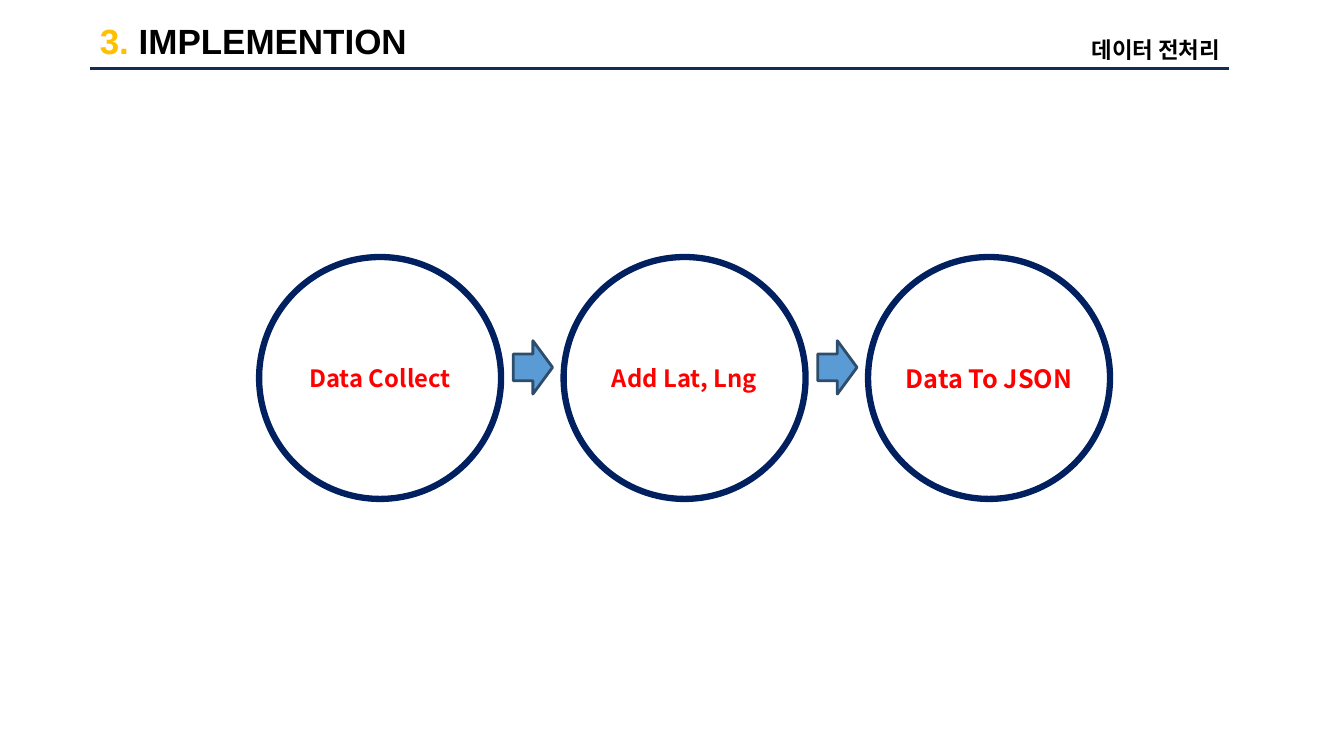
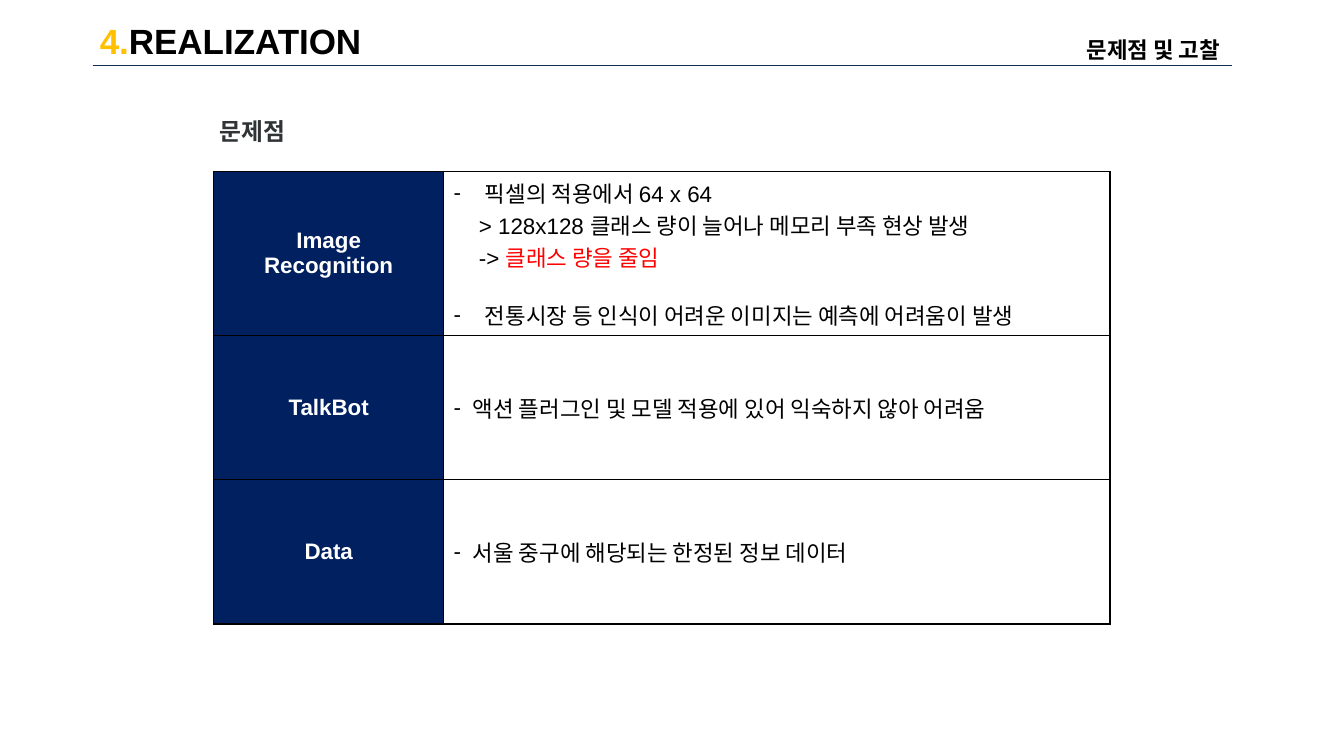
from lxml.etree import SubElement
from pptx import Presentation
from pptx.dml.color import RGBColor
from pptx.enum.shapes import MSO_CONNECTOR, MSO_SHAPE
from pptx.enum.text import MSO_ANCHOR, MSO_AUTO_SIZE, PP_ALIGN
from pptx.oxml.ns import qn
from pptx.util import Pt

EMU_PER_PX = 9144
LATIN_FONT = "Arial"
KOREAN_FONT = "Noto Sans CJK KR"
WHITE = RGBColor(0xFF, 0xFF, 0xFF)
BLACK = RGBColor(0x00, 0x00, 0x00)
GOLD = RGBColor(0xFF, 0xC0, 0x00)
RED = RGBColor(0xFF, 0x00, 0x00)
NAVY = RGBColor(0x00, 0x20, 0x60)
RULE_BLUE = RGBColor(0x14, 0x2D, 0x52)
ARROW_BLUE = RGBColor(0x5B, 0x9B, 0xD5)
ARROW_EDGE = RGBColor(0x2D, 0x4D, 0x6A)
CHARCOAL = RGBColor(0x2F, 0x34, 0x36)


def px(length):
    return int(length * EMU_PER_PX)


def box(left, top, width, height):
    return px(left), px(top), px(width), px(height)


def write_text(paragraph, text, size=16, color=BLACK, bold=False,
               font=LATIN_FONT, align=PP_ALIGN.LEFT):
    paragraph.alignment = align
    run = paragraph.add_run()
    run.text = text
    run.font.size = Pt(size)
    run.font.bold = bold
    run.font.color.rgb = color
    run.font.name = font
    east_asian = SubElement(run.font._element, qn("a:ea"))
    east_asian.set("typeface", KOREAN_FONT)


def indent_paragraph(paragraph, margin, bullet=False):
    properties = paragraph._p.get_or_add_pPr()
    properties.set("marL", str(px(margin)))
    properties.set("indent", str(px(-margin if bullet else 0)))
    if bullet:
        color = SubElement(SubElement(properties, qn("a:buClr")), qn("a:srgbClr"))
        color.set("val", str(BLACK))
        SubElement(properties, qn("a:buFont")).set("typeface", LATIN_FONT)
        SubElement(properties, qn("a:buChar")).set("char", "-")


def add_label(slide, left, top, width, height, text, line_spacing=1, **text_format):
    label = slide.shapes.add_textbox(*box(left, top, width, height))
    label.text_frame.word_wrap = True
    paragraph = label.text_frame.paragraphs[0]
    paragraph.line_spacing = line_spacing
    write_text(paragraph, text, bold=True, font=KOREAN_FONT, **text_format)


def add_shape(slide, kind, bounds, fill, line, line_width):
    shape = slide.shapes.add_shape(kind, *box(*bounds))
    shape.shadow.inherit = False
    shape.fill.solid()
    shape.fill.fore_color.rgb = fill
    shape.line.color.rgb = line
    shape.line.width = Pt(line_width)
    return shape


def add_header(slide, number, title, topic, rule_left, rule_top, rule_width):
    placeholder = slide.shapes.title
    placeholder.left, placeholder.top, placeholder.width, placeholder.height = box(89, 14, 400, 76)
    frame = placeholder.text_frame
    frame.vertical_anchor = MSO_ANCHOR.TOP
    frame.auto_size = MSO_AUTO_SIZE.NONE
    for text, color in ((number, GOLD), (title, BLACK)):
        write_text(frame.paragraphs[0], text, size=25, color=color, bold=True)
    add_label(slide, 966, 18, 254, 49, topic, line_spacing=1.5, align=PP_ALIGN.RIGHT)
    rule = slide.shapes.add_connector(
        MSO_CONNECTOR.STRAIGHT, px(rule_left), px(rule_top), px(rule_left + 1130), px(rule_top))
    rule.line.color.rgb = RULE_BLUE
    rule.line.width = Pt(rule_width)
    SubElement(rule._element.spPr, qn("a:effectLst"))


def add_process(slide, left, top, steps, diameter=240, pitch=302):
    for index, (text, size) in enumerate(steps):
        step_left = left + index * pitch
        circle = add_shape(slide, MSO_SHAPE.OVAL, (step_left, top, diameter, diameter),
                           WHITE, NAVY, 4.5)
        frame = circle.text_frame
        frame.word_wrap = False
        frame.vertical_anchor = MSO_ANCHOR.MIDDLE
        write_text(frame.paragraphs[0], text, size=size, color=RED, bold=True,
                   font=KOREAN_FONT, align=PP_ALIGN.CENTER)
        if index < len(steps) - 1:
            add_shape(slide, MSO_SHAPE.RIGHT_ARROW,
                      (step_left + diameter + 12, top + 83, 39, 53),
                      ARROW_BLUE, ARROW_EDGE, 2)


def style_cell(cell, fill):
    properties = cell._tc.get_or_add_tcPr()
    for side in ("a:lnL", "a:lnR", "a:lnT", "a:lnB"):
        border = SubElement(properties, qn(side), w=str(Pt(1)))
        color = SubElement(SubElement(border, qn("a:solidFill")), qn("a:srgbClr"))
        color.set("val", str(BLACK))
    cell.fill.solid()
    cell.fill.fore_color.rgb = fill
    cell.vertical_anchor = MSO_ANCHOR.MIDDLE


def next_paragraph(frame, index):
    return frame.add_paragraph() if index else frame.paragraphs[0]


def add_issue_table(slide, left, top, rows, column_widths, row_heights):
    table = slide.shapes.add_table(
        len(rows), len(column_widths),
        *box(left, top, sum(column_widths), sum(row_heights))).table
    for column, width in zip(table.columns, column_widths):
        column.width = px(width)
    for row, height, (heading, notes) in zip(table.rows, row_heights, rows):
        row.height = px(height)
        heading_cell, notes_cell = row.cells
        style_cell(heading_cell, NAVY)
        style_cell(notes_cell, WHITE)
        for index, text in enumerate(heading):
            write_text(next_paragraph(heading_cell.text_frame, index), text,
                       color=WHITE, bold=True, align=PP_ALIGN.CENTER)
        for index, (margin, bullet, space_before, runs) in enumerate(notes):
            paragraph = next_paragraph(notes_cell.text_frame, index)
            indent_paragraph(paragraph, margin, bullet)
            paragraph.space_before = Pt(space_before)
            for text, color in runs:
                write_text(paragraph, text, color=color)


def build_implementation(slide):
    add_header(slide, "3. ", "IMPLEMENTION", "데이터 전처리", 89, 68, 2.25)
    add_process(slide, 257, 255,
                [("Data Collect", 17), ("Add Lat, Lng", 17), ("Data To JSON", 18)])


def build_realization(slide):
    add_header(slide, "4.", "REALIZATION", "문제점 및 고찰", 92, 65, 0.75)
    add_label(slide, 208, 111, 200, 39, "문제점", size=17, color=CHARCOAL)
    rows = [
        (["Image", "Recognition"], [
            (31, True, 0, [("픽셀의 적용에서 64 x 64", BLACK)]),
            (25, False, 0, [("> 128x128 클래스 량이 늘어나 메모리 부족 현상 발생", BLACK)]),
            (25, False, 0, [("-> ", BLACK), ("클래스 량을 줄임", RED)]),
            (31, True, 18, [("전통시장 등 인식이 어려운 이미지는 예측에 어려움이 발생", BLACK)]),
        ]),
        (["TalkBot"], [
            (19, True, 0, [("액션 플러그인 및 모델 적용에 있어 익숙하지 않아 어려움", BLACK)]),
        ]),
        (["Data"], [
            (19, True, 0, [("서울 중구에 해당되는 한정된 정보 데이터", BLACK)]),
        ]),
    ]
    add_issue_table(slide, 212, 170, rows, [228, 661], [163, 143, 143])


def main():
    presentation = Presentation()
    presentation.slide_width = px(1333)
    presentation.slide_height = px(750)
    title_only = presentation.slide_layouts[5]
    for build in (build_implementation, build_realization):
        build(presentation.slides.add_slide(title_only))
    presentation.save("out.pptx")


if __name__ == "__main__":
    main()
